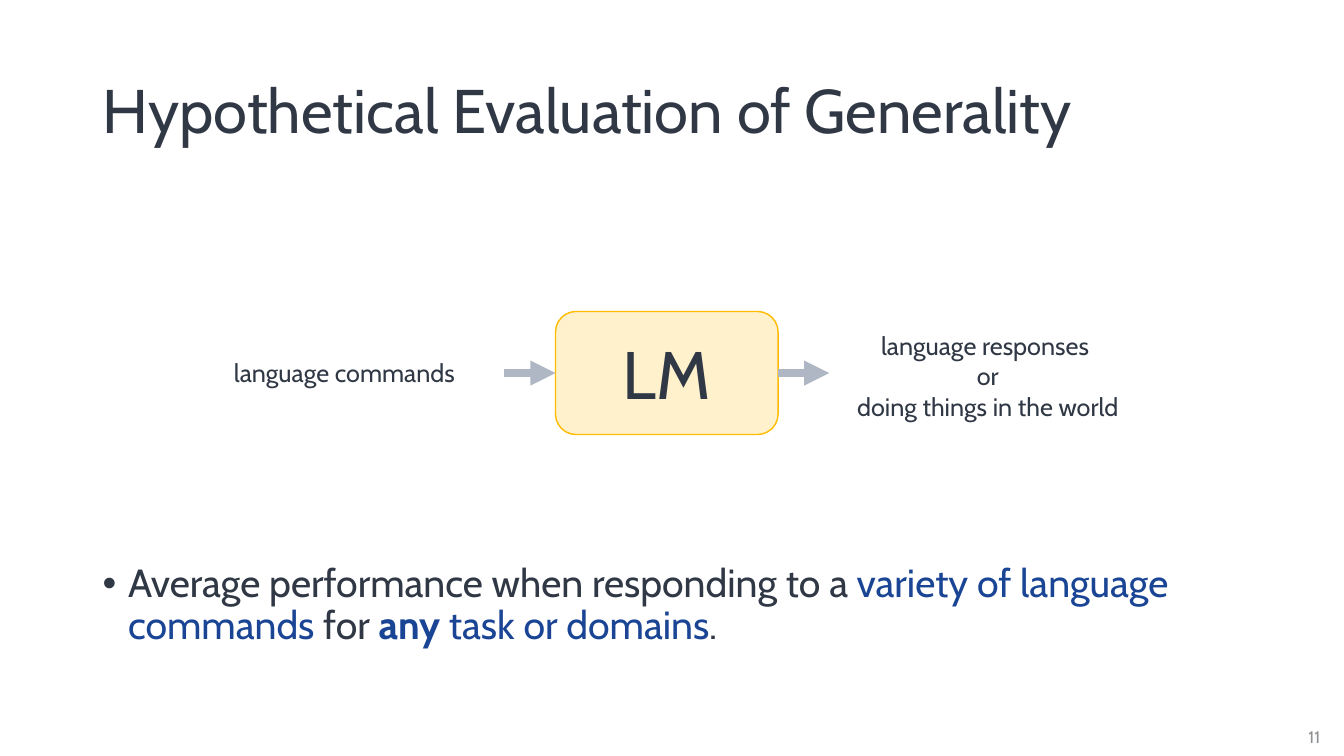
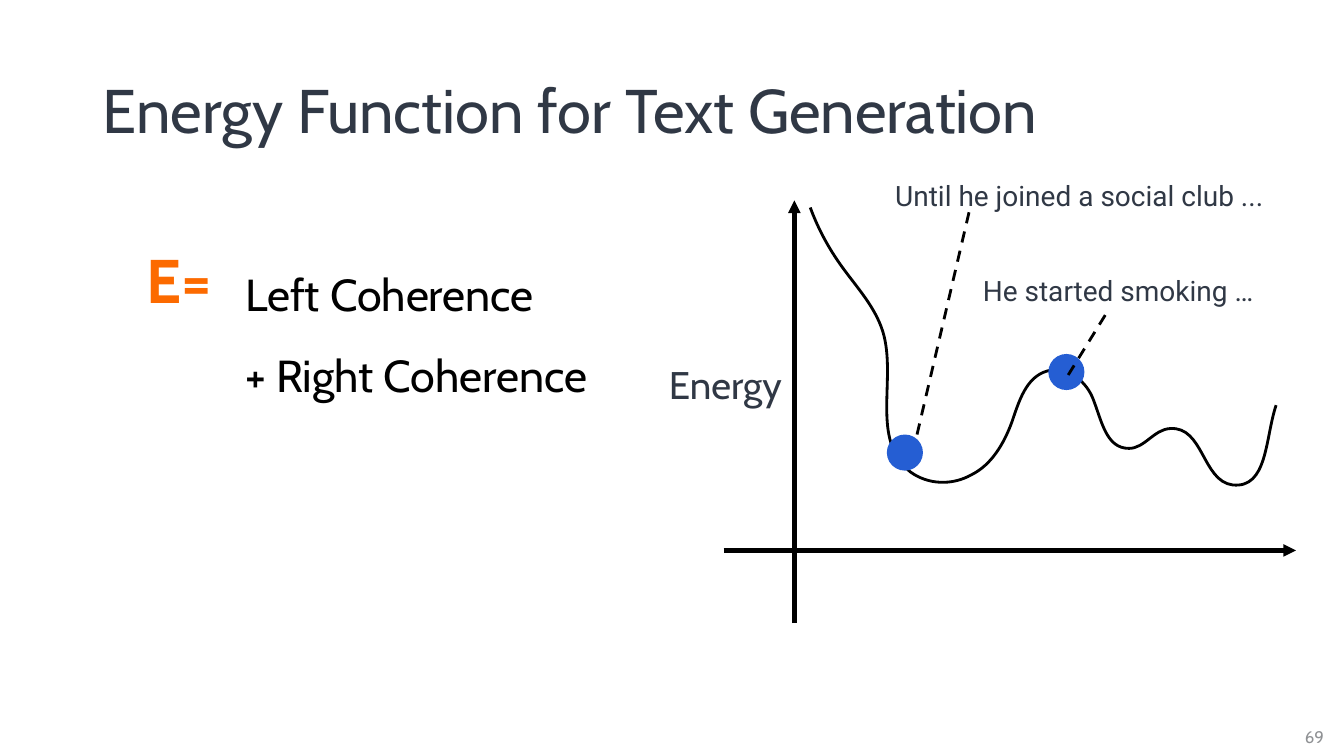
from dataclasses import dataclass
from typing import Optional

from lxml.etree import SubElement
from pptx import Presentation
from pptx.dml.color import RGBColor
from pptx.enum.dml import MSO_LINE_DASH_STYLE as Dash
from pptx.enum.shapes import MSO_CONNECTOR, MSO_SHAPE
from pptx.enum.text import MSO_ANCHOR as Anchor, PP_ALIGN as Align
from pptx.oxml.ns import qn
from pptx.shapes.base import BaseShape
from pptx.slide import Slide
from pptx.util import Cm, Pt

INK = RGBColor(0x30, 0x38, 0x45)
BLACK = RGBColor(0x00, 0x00, 0x00)
NAVY = RGBColor(0x1A, 0x45, 0x95)
BLUE = RGBColor(0x25, 0x5E, 0xD3)
ORANGE = RGBColor(0xFC, 0x6A, 0x00)
AMBER = RGBColor(0xFF, 0xBB, 0x00)
CREAM = RGBColor(0xFF, 0xF1, 0xCC)
STEEL = RGBColor(0xAE, 0xB7, 0xC3)
GREY = RGBColor(0x8F, 0x91, 0x94)

HEADING_FONT = "Cabin"
SAMPLE_FONT = "Roboto"
MARGIN = 2.34
CONTENT_WIDTH = 29.21
TIGHT_INSET = 0.08
BULLET_INDENT = Cm(0.64)
BALL_SIZE = 0.91


@dataclass(frozen=True)
class Box:
    """A rectangle in centimetres."""
    left: float
    top: float
    width: float
    height: float

    def lengths(self) -> tuple[Cm, Cm, Cm, Cm]:
        return Cm(self.left), Cm(self.top), Cm(self.width), Cm(self.height)


@dataclass(frozen=True)
class Span:
    """A stretch of text with its own colour or weight."""
    text: str
    color: RGBColor = INK
    bold: bool = False


@dataclass(frozen=True)
class Stroke:
    """A straight line between two points in centimetres."""
    x1: float
    y1: float
    x2: float
    y2: float
    width: float
    color: RGBColor = BLACK
    arrow: bool = False
    dashed: bool = False


@dataclass(frozen=True)
class Sample:
    """A generated sentence, its energy ball and the line joining them."""
    text: str
    label: Box
    ball_left: float
    ball_top: float
    leader: Stroke


TITLE_BOX = Box(MARGIN, 1.02, CONTENT_WIDTH, 3.68)
PAGE_BOX = Box(32.39, 18.06, 1.47, 1.02)
MODEL_BOX = Box(14, 7.85, 5.61, 3.1)

# Start point, then three Bézier points per segment, in hundredths of a centimetre
ENERGY_CURVE = [
    (2042, 523),
    (2062, 577), (2088, 625), (2121, 671),
    (2159, 724), (2205, 772), (2225, 836),
    (2261, 955), (2192, 1107), (2294, 1189),
    (2339, 1222), (2400, 1224), (2449, 1196),
    (2499, 1171), (2530, 1118), (2550, 1064),
    (2568, 1011), (2586, 950), (2639, 935),
    (2685, 922), (2733, 955), (2753, 1001),
    (2776, 1057), (2786, 1130), (2845, 1130),
    (2885, 1130), (2908, 1082), (2949, 1080),
    (3033, 1074), (3030, 1212), (3106, 1222),
    (3195, 1232), (3188, 1105), (3216, 1021),
]

AXES = [
    Stroke(20.02, 15.7, 20.02, 5.05, 3, arrow=True),
    Stroke(18.24, 13.87, 32.66, 13.87, 3, arrow=True),
]

SAMPLES = [
    Sample("He started smoking …", Box(24.69, 6.68, 7.44, 1.12), 26.42, 8.92,
           Stroke(26.92, 9.45, 27.94, 7.8, 2, dashed=True)),
    Sample("Until he joined a social club ...", Box(22.48, 4.29, 9.65, 1.12), 22.35, 10.95,
           Stroke(23.11, 10.95, 24.46, 5.18, 2, dashed=True)),
]


def write(shape: BaseShape, paragraphs: list[list[Span]], *, size: float,
          font: str = HEADING_FONT, align: Align = Align.LEFT,
          anchor: Anchor = Anchor.TOP, spacing: Optional[float] = None,
          inset: Optional[float] = None, wrap: bool = True, bullet: bool = False) -> None:
    frame = shape.text_frame
    frame.word_wrap = wrap
    frame.vertical_anchor = anchor
    if inset is not None:
        frame.margin_left = frame.margin_right = Cm(inset)
        frame.margin_top = frame.margin_bottom = Cm(inset)
    for index, spans in enumerate(paragraphs):
        paragraph = frame.add_paragraph() if index else frame.paragraphs[0]
        paragraph.alignment = align
        if spacing:
            paragraph.line_spacing = spacing
        if bullet:
            properties = paragraph._p.get_or_add_pPr()
            properties.set("marL", str(BULLET_INDENT))
            properties.set("indent", str(-BULLET_INDENT))
            SubElement(properties, qn("a:buFont")).set("typeface", "Arial")
            SubElement(properties, qn("a:buChar")).set("char", "•")
        for span in spans:
            run = paragraph.add_run()
            run.text = span.text
            run.font.name = font
            run.font.size = Pt(size)
            run.font.bold = span.bold
            run.font.color.rgb = span.color


def add_text(slide: Slide, box: Box, *lines: str, color: RGBColor = INK,
             bold: bool = False, **style) -> None:
    """Add a text box with one plain paragraph per line."""
    write(slide.shapes.add_textbox(*box.lengths()),
          [[Span(line, color, bold)] for line in lines], **style)


def add_preset(slide: Slide, kind: MSO_SHAPE, box: Box, fill: RGBColor,
               outline: Optional[RGBColor] = None) -> BaseShape:
    shape = slide.shapes.add_shape(kind, *box.lengths())
    shape.shadow.inherit = False
    shape.fill.solid()
    shape.fill.fore_color.rgb = fill
    if outline is None:
        shape.line.fill.background()
    else:
        shape.line.color.rgb = outline
        shape.line.width = Pt(1)
    return shape


def add_stroke(slide: Slide, stroke: Stroke) -> None:
    connector = slide.shapes.add_connector(
        MSO_CONNECTOR.STRAIGHT, Cm(stroke.x1), Cm(stroke.y1), Cm(stroke.x2), Cm(stroke.y2))
    connector.line.color.rgb = stroke.color
    connector.line.width = Pt(stroke.width)
    if stroke.dashed:
        connector.line.dash_style = Dash.DASH
    properties = connector._element.spPr
    if stroke.arrow:
        SubElement(properties.find(qn("a:ln")), qn("a:tailEnd")).set("type", "triangle")
    SubElement(properties, qn("a:effectLst"))


def add_curve(slide: Slide, points: list[tuple[int, int]]) -> None:
    """Draw a chain of cubic Bézier segments."""
    builder = slide.shapes.build_freeform(*points[0], scale=Cm(0.01))
    builder.add_line_segments(points[1:], close=False)
    curve = builder.convert_to_shape()
    outline = curve._element.find(".//" + qn("a:path"))
    corners = outline.findall(qn("a:lnTo"))
    for start in range(0, len(corners), 3):
        segment = SubElement(outline, qn("a:cubicBezTo"))
        for corner in corners[start:start + 3]:
            segment.append(corner[0])
            outline.remove(corner)
    curve.shadow.inherit = False
    curve.fill.background()
    curve.line.color.rgb = BLACK
    curve.line.width = Pt(2)


def new_slide(deck: Presentation, title: str, page: int) -> Slide:
    slide = deck.slides.add_slide(deck.slide_layouts[6])
    add_text(slide, TITLE_BOX, title, size=44, anchor=Anchor.MIDDLE, spacing=0.9)
    add_text(slide, PAGE_BOX, str(page), size=12, color=GREY,
             align=Align.CENTER, anchor=Anchor.MIDDLE)
    return slide


def build_generality(deck: Presentation) -> None:
    slide = new_slide(deck, "Hypothetical Evaluation of Generality", 11)
    model = add_preset(slide, MSO_SHAPE.ROUNDED_RECTANGLE, MODEL_BOX, CREAM, AMBER)
    write(model, [[Span("LM")]], size=48, align=Align.CENTER, anchor=Anchor.MIDDLE)

    middle = MODEL_BOX.top + MODEL_BOX.height / 2
    arrow_length = 1.29
    for start in (MODEL_BOX.left - arrow_length, MODEL_BOX.left + MODEL_BOX.width):
        add_stroke(slide, Stroke(start, middle, start + arrow_length, middle, 6, STEEL, arrow=True))

    add_text(slide, Box(5.31, 8.89, 6.88, 1.02), "language commands ",
             size=18, align=Align.CENTER)
    add_text(slide, Box(20.96, 8.2, 7.87, 2.57), "language responses ", "or",
             "doing things in the world", size=18, align=Align.CENTER)

    measure = slide.shapes.add_textbox(*Box(MARGIN, 14.08, CONTENT_WIDTH, 2.6).lengths())
    write(measure, [[
        Span("Average performance when responding to a "),
        Span("variety of language commands", NAVY),
        Span(" for "),
        Span("any ", NAVY, bold=True),
        Span("task or domains", NAVY),
        Span("."),
    ]], size=28, spacing=0.9, bullet=True)


def build_energy(deck: Presentation) -> None:
    slide = new_slide(deck, "Energy Function for Text Generation", 69)
    add_text(slide, Box(3.07, 5.97, 2.92, 2.13), "E=", size=44, color=ORANGE,
             bold=True, align=Align.CENTER)
    add_text(slide, Box(5.93, 5.92, 13.06, 4.14), "Left Coherence", "+ Right Coherence",
             size=32, color=BLACK, spacing=1.5)

    add_curve(slide, ENERGY_CURVE)
    for axis in AXES:
        add_stroke(slide, axis)
    add_text(slide, Box(16.78, 9.02, 3.2, 1.32), "Energy", size=27.5,
             anchor=Anchor.MIDDLE, inset=TIGHT_INSET, wrap=False)
    for sample in SAMPLES:
        ball = Box(sample.ball_left, sample.ball_top, BALL_SIZE, BALL_SIZE)
        add_preset(slide, MSO_SHAPE.OVAL, ball, BLUE)
        add_stroke(slide, sample.leader)
        add_text(slide, sample.label, sample.text, size=20, font=SAMPLE_FONT, spacing=1.2,
                 anchor=Anchor.MIDDLE, inset=TIGHT_INSET, wrap=False)


def main() -> None:
    deck = Presentation()
    deck.slide_width, deck.slide_height = Cm(33.87), Cm(19.05)
    build_generality(deck)
    build_energy(deck)
    deck.save("out.pptx")


if __name__ == "__main__":
    main()
